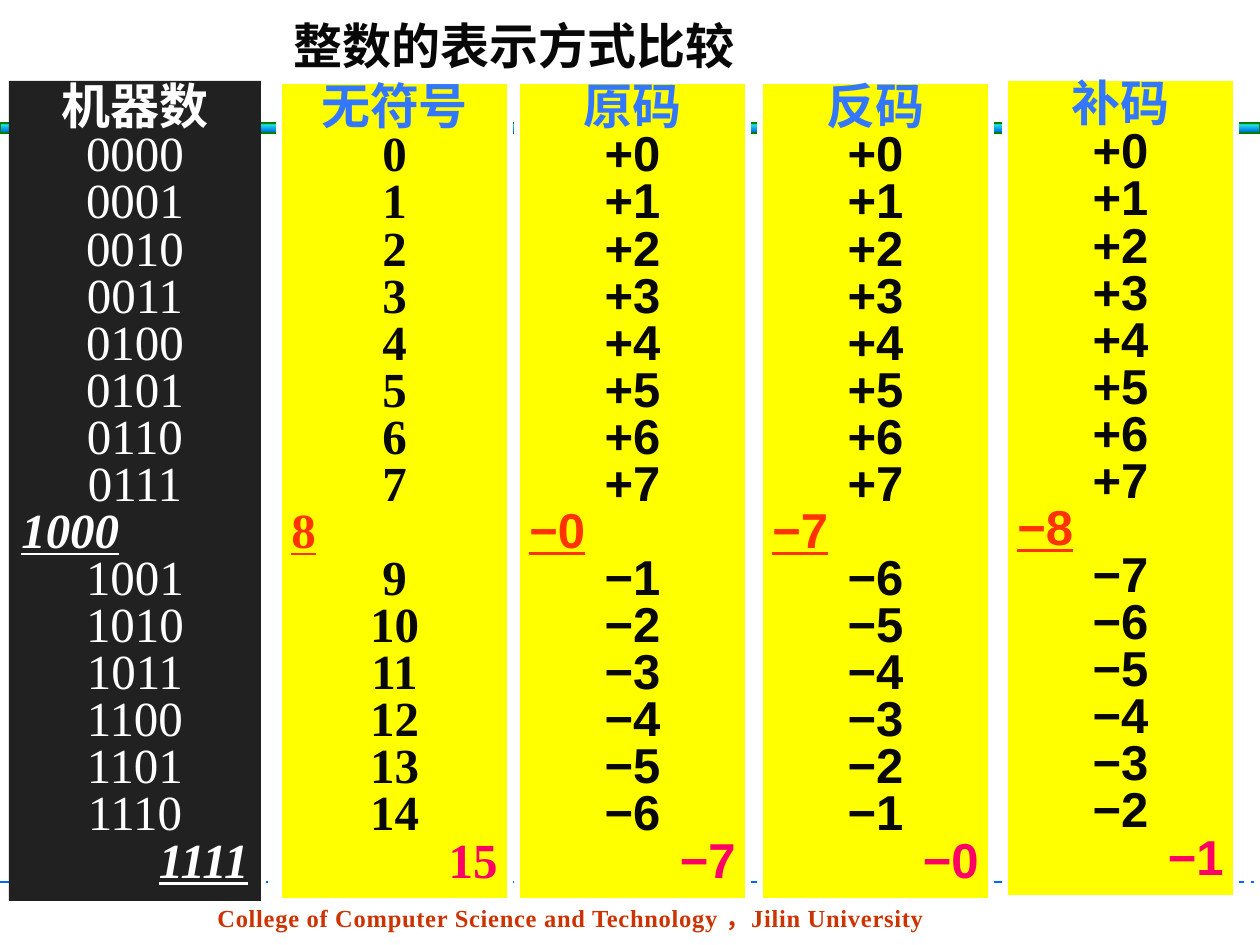
import lxml.etree
import pptx
import pptx.dml.color
import pptx.enum.dml
import pptx.enum.shapes
import pptx.enum.text
import pptx.oxml.ns
import pptx.util

RGBColor = pptx.dml.color.RGBColor
ALIGN = pptx.enum.text.PP_ALIGN
qn = pptx.oxml.ns.qn

WHITE = RGBColor(0xFF, 0xFF, 0xFF)
INK = RGBColor(0x08, 0x08, 0x08)
CHARCOAL = RGBColor(0x21, 0x21, 0x21)
YELLOW = RGBColor(0xFF, 0xFF, 0x00)
HEADING_BLUE = RGBColor(0x34, 0x77, 0xFF)
RULE_BLUE = RGBColor(0x00, 0x66, 0xFF)
ORANGE = RGBColor(0xFF, 0x33, 0x00)
PINK = RGBColor(0xFF, 0x00, 0x66)
RUST = RGBColor(0xCC, 0x33, 0x00)
GREEN = RGBColor(0x00, 0x80, 0x00)
BAR_STOPS = [
    (0, RGBColor(0x03, 0xD4, 0xA8)),
    (25, RGBColor(0x21, 0xD6, 0xE0)),
    (75, RGBColor(0x00, 0x87, 0xE6)),
    (100, RGBColor(0x00, 0x5C, 0xBF)),
]

SERIF = "Times New Roman"
SANS = "Arial"
EMU_PER_PX = 914400 / 126
WIDTH, HEIGHT = 1260, 945


def px(length):
    return pptx.util.Emu(round(length * EMU_PER_PX))


def write(paragraph, text, *, size=28, font=SERIF, color=INK, bold=True, italic=None,
          underline=None, align=ALIGN.LEFT, line_spacing=None, tracking=None):
    paragraph.alignment = align
    if line_spacing:
        paragraph.line_spacing = line_spacing
    run = paragraph.add_run()
    run.text = text
    run.font.size = pptx.util.Pt(size)
    run.font.name = font
    run.font.color.rgb = color
    run.font.bold = bold
    run.font.italic = italic
    run.font.underline = underline
    if tracking:
        run.font._element.set("spc", str(tracking))


class SlideBuilder:
    def __init__(self, slide):
        self.slide = slide

    def title(self, text, left, top, width, height):
        shape = self.slide.shapes.title
        shape.left, shape.top, shape.width, shape.height = map(px, (left, top, width, height))
        frame = shape.text_frame
        frame.word_wrap = False
        frame.vertical_anchor = pptx.enum.text.MSO_ANCHOR.TOP
        write(frame.paragraphs[0], text)

    def label(self, text, left, top, width, height, **text_format):
        shape = self.slide.shapes.add_textbox(*map(px, (left, top, width, height)))
        shape.text_frame.word_wrap = True
        write(shape.text_frame.paragraphs[0], text, **text_format)

    def rule(self, left, top, right):
        connector = self.slide.shapes.add_connector(
            pptx.enum.shapes.MSO_CONNECTOR.STRAIGHT, px(left), px(top), px(right), px(top))
        connector.line.color.rgb = RULE_BLUE
        connector.line.width = pptx.util.Pt(1.5)
        connector.line.dash_style = pptx.enum.dml.MSO_LINE.LONG_DASH_DOT
        lxml.etree.SubElement(connector._element.spPr, qn("a:effectLst"))

    def rectangle(self, left, top, width, height, line=None, line_width=1):
        shape = self.slide.shapes.add_shape(
            pptx.enum.shapes.MSO_SHAPE.RECTANGLE, *map(px, (left, top, width, height)))
        shape.shadow.inherit = False
        if line is None:
            shape.line.fill.background()
        else:
            shape.line.color.rgb = line
            shape.line.width = pptx.util.Pt(line_width)
        return shape

    def gradient_bar(self, left, top, width, height, stops):
        shape = self.rectangle(left, top, width, height, GREEN, 0.75)
        shape.fill.gradient()
        shape.fill.gradient_angle = 270
        stop_list = shape._element.spPr.find(".//" + qn("a:gsLst"))
        for stop in list(stop_list):
            stop_list.remove(stop)
        for percent, color in stops:
            stop = lxml.etree.SubElement(stop_list, qn("a:gs"), pos=str(percent * 1000))
            lxml.etree.SubElement(stop, qn("a:srgbClr"), val=str(color))

    def column(self, left, top, width, height, heading, values, fill, line, heading_color,
               body, turning, last):
        shape = self.rectangle(left, top, width, height, line, 3)
        shape.fill.solid()
        shape.fill.fore_color.rgb = fill
        frame = shape.text_frame
        frame.word_wrap = True
        frame.vertical_anchor = pptx.enum.text.MSO_ANCHOR.TOP
        write(frame.paragraphs[0], heading, color=heading_color, align=ALIGN.CENTER,
              line_spacing=0.8)
        special = {8: turning, 15: last}
        for index, value in enumerate(values):
            text_format = {"align": ALIGN.CENTER, "line_spacing": 0.8,
                           **body, **special.get(index, {})}
            write(frame.add_paragraph(), value, **text_format)


def main():
    presentation = pptx.Presentation()
    presentation.slide_width, presentation.slide_height = px(WIDTH), px(HEIGHT)
    builder = SlideBuilder(presentation.slides.add_slide(presentation.slide_layouts[5]))

    builder.title("整数的表示方式比较", 281, 9, 473, 72)
    builder.label("College of Computer Science and Technology ，Jilin University",
                  205, 897, 820, 42, size=14, color=RUST, tracking=40)
    builder.rule(0, 882, WIDTH)
    builder.gradient_bar(0, 123, WIDTH, 10, BAR_STOPS)

    emphasis = {"bold": True, "italic": True, "underline": True}
    builder.column(
        9, 81, 252, 820, "机器数", [f"{number:04b}" for number in range(16)],
        fill=CHARCOAL, line=None, heading_color=WHITE,
        body={"color": WHITE, "bold": False},
        turning={"align": ALIGN.LEFT, **emphasis},
        last={"align": ALIGN.RIGHT, **emphasis})

    positives = [f"+{number}" for number in range(8)]
    columns = [
        (279, 81, "无符号", SERIF, [str(number) for number in range(16)]),
        (517, 81, "原码", SANS, positives + [f"−{number}" for number in range(8)]),
        (760, 81, "反码", SANS, positives + [f"−{number}" for number in range(7, -1, -1)]),
        (1005, 78, "补码", SANS, positives + [f"−{number}" for number in range(8, 0, -1)]),
    ]
    for left, top, heading, font, values in columns:
        builder.column(
            left, top, 231, 820, heading, values,
            fill=YELLOW, line=WHITE, heading_color=HEADING_BLUE,
            body={"font": font},
            turning={"align": ALIGN.LEFT, "color": ORANGE, "underline": True},
            last={"align": ALIGN.RIGHT, "color": PINK})

    presentation.save("out.pptx")


if __name__ == "__main__":
    main()
